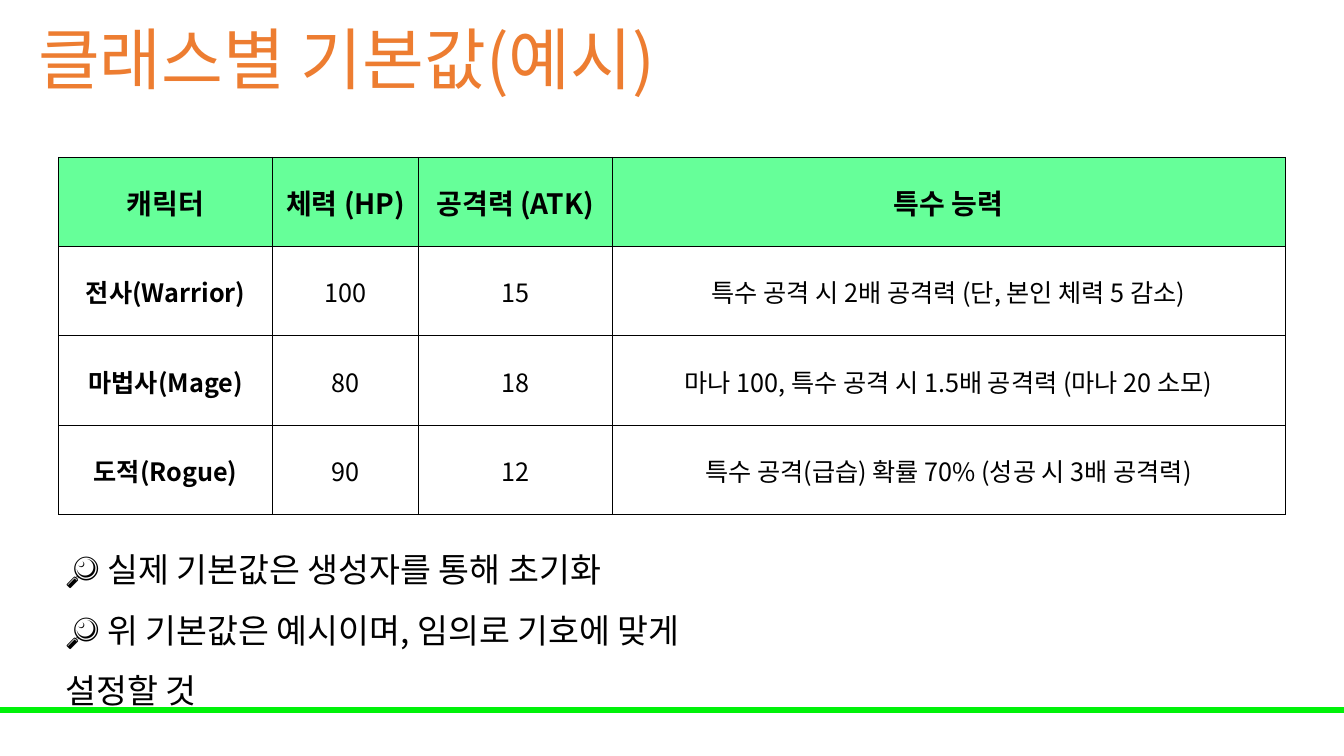
from lxml.etree import SubElement
from pptx import Presentation
from pptx.dml.color import RGBColor
from pptx.enum.shapes import MSO_SHAPE as SHAPE
from pptx.enum.text import MSO_ANCHOR as ANCHOR, PP_ALIGN as ALIGN
from pptx.oxml.ns import qn
from pptx.util import Cm, Pt

FONT = "Noto Sans CJK KR"
ORANGE = RGBColor(0xED, 0x7D, 0x31)
MINT = RGBColor(0x66, 0xFF, 0x99)
GREEN = RGBColor(0x00, 0xF2, 0x09)
BLACK = RGBColor(0, 0, 0)

CELL_FORMAT = {
    "margin_left": Cm(0.03), "margin_right": Cm(0.03),
    "margin_top": Cm(0.03), "margin_bottom": Cm(0),
    "vertical_anchor": ANCHOR.MIDDLE,
}
COL_WIDTHS = (5.39, 3.68, 4.87, 16.96)
ROW_HEIGHT = 2.25
STATS = (
    ("캐릭터", "체력 (HP)", "공격력 (ATK)", "특수 능력"),
    ("전사(Warrior)", "100", "15", "특수 공격 시 2배 공격력 (단, 본인 체력 5 감소)"),
    ("마법사(Mage)", "80", "18", "마나 100, 특수 공격 시 1.5배 공격력 (마나 20 소모)"),
    ("도적(Rogue)", "90", "12", "특수 공격(급습) 확률 70% (성공 시 3배 공격력)"),
)
NOTES = (
    "🔎 실제 기본값은 생성자를 통해 초기화",
    "🔎 위 기본값은 예시이며, 임의로 기호에 맞게 설정할 것",
)


def apply(obj, values):
    for name, value in values.items():
        setattr(obj, name, value)


def write(p, text, size, color=BLACK, bold=False, **paragraph_format):
    apply(p, paragraph_format)
    r = p.add_run()
    r.text = text
    apply(r.font, {"name": FONT, "size": Pt(size), "bold": bold})
    r.font.color.rgb = color
    SubElement(r.font._element, qn("a:ea"), typeface=FONT)


def add_bar(s):
    sp = s.shapes.add_shape(SHAPE.RECTANGLE, 0, Cm(17.83), Cm(33.87), Cm(0.13))
    sp.shadow.inherit = False
    sp.fill.solid()
    sp.fill.fore_color.rgb = GREEN
    sp.line.color.rgb = GREEN
    sp.line.width = Pt(1)


def set_title(s, text):
    title = s.shapes.title
    apply(title, {"left": Cm(0.71), "top": Cm(0), "width": Cm(29.21), "height": Cm(3.18)})
    tf = title.text_frame
    apply(tf, {"vertical_anchor": ANCHOR.MIDDLE, "word_wrap": True})
    write(tf.paragraphs[0], text, 48, ORANGE, alignment=ALIGN.LEFT, line_spacing=0.9)


def add_borders(cell):
    tc_pr = cell._tc.get_or_add_tcPr()
    for side in ("lnL", "lnR", "lnT", "lnB"):
        ln = SubElement(tc_pr, qn(f"a:{side}"), w=str(Pt(0.5)))
        fill = SubElement(ln, qn("a:solidFill"))
        SubElement(fill, qn("a:srgbClr"), val=str(BLACK))


def add_stats_table(s, rows):
    frame = s.shapes.add_table(len(rows), len(COL_WIDTHS), Cm(1.48), Cm(3.96),
                               Cm(sum(COL_WIDTHS)), Cm(ROW_HEIGHT * len(rows)))
    table = frame.table
    for column, width in zip(table.columns, COL_WIDTHS):
        column.width = Cm(width)
    for i, row in enumerate(rows):
        table.rows[i].height = Cm(ROW_HEIGHT)
        for j, text in enumerate(row):
            cell = table.cell(i, j)
            apply(cell, CELL_FORMAT)
            add_borders(cell)
            if i == 0:
                cell.fill.solid()
                cell.fill.fore_color.rgb = MINT
            else:
                cell.fill.background()
            write(cell.text_frame.paragraphs[0], text, 20 if i == 0 else 18,
                  bold=i == 0 or j == 0, alignment=ALIGN.CENTER)


def add_notes(s, lines):
    tf = s.shapes.add_textbox(Cm(1.4), Cm(13.21), Cm(18.29), Cm(3.15)).text_frame
    tf.word_wrap = True
    for i, line in enumerate(lines):
        p = tf.add_paragraph() if i else tf.paragraphs[0]
        write(p, line, 24, line_spacing=1.5)


def main():
    prs = Presentation()
    apply(prs, {"slide_width": Cm(33.87), "slide_height": Cm(19.05)})
    s = prs.slides.add_slide(prs.slide_layouts[5])
    add_bar(s)
    set_title(s, "클래스별 기본값(예시)")
    add_stats_table(s, STATS)
    add_notes(s, NOTES)
    prs.save("out.pptx")


if __name__ == "__main__":
    main()
